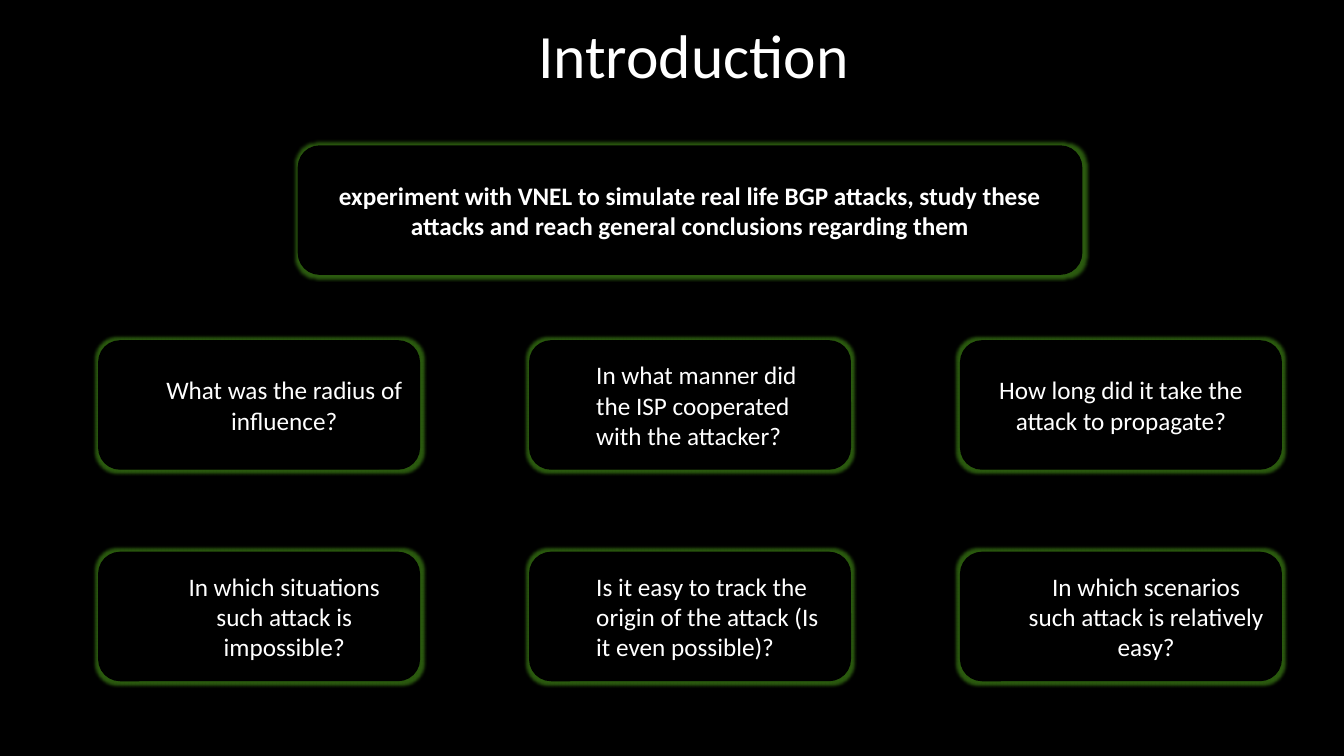
import pptx
import pptx.util
import pptx.dml.color
import pptx.enum.shapes
import pptx.enum.text
import pptx.oxml.ns
import lxml.etree

Cm = pptx.util.Cm
LEFT = pptx.enum.text.PP_ALIGN.LEFT
MID = pptx.enum.text.PP_ALIGN.CENTER
INDENT = 1.27

GOAL = ("experiment with VNEL to simulate real life BGP attacks, study these "
        "attacks and reach general conclusions regarding them")
ASKS = [
    [("What was the radius of influence?", MID, INDENT),
     ("In what manner did the ISP cooperated with the attacker?", LEFT, INDENT),
     ("How long did it take the attack to propagate?", MID, 0)],
    [("In which situations such attack is impossible?", MID, INDENT),
     ("Is it easy to track the origin of the attack (Is it even possible)?", LEFT, INDENT),
     ("In which scenarios such attack is relatively easy?", MID, INDENT)],
]


def color(code):
    return pptx.dml.color.RGBColor.from_string(code)


def write(shape, text, size, align, bold=False):
    frame = shape.text_frame
    frame.word_wrap = True
    frame.vertical_anchor = pptx.enum.text.MSO_ANCHOR.MIDDLE
    frame.text = text
    para = frame.paragraphs[0]
    para.alignment = align
    font = para.runs[0].font
    font.name = "Calibri"
    font.size = pptx.util.Pt(size)
    font.bold = bold
    font.color.rgb = color("FFFFFF")
    return para


def add_glow(shape, code):
    qn = pptx.oxml.ns.qn
    shape.shadow.inherit = False
    effects = shape.element.spPr.find(qn("a:effectLst"))
    glow = lxml.etree.SubElement(effects, qn("a:glow"), rad=str(pptx.util.Pt(5)))
    lxml.etree.SubElement(glow, qn("a:srgbClr"), val=code)


def add_card(slide, box, text, align=MID, indent=0, bold=False):
    card = slide.shapes.add_shape(
        pptx.enum.shapes.MSO_SHAPE.ROUNDED_RECTANGLE, *map(Cm, box))
    card.fill.solid()
    card.fill.fore_color.rgb = color("000000")
    card.line.color.rgb = color("000000")
    card.line.width = pptx.util.Pt(1)
    add_glow(card, "2B5A0F")
    para = write(card, text, 18, align, bold)
    if indent:
        para.level = 1
        props = para._p.get_or_add_pPr()
        props.set("marL", str(Cm(indent)))
        props.set("indent", "0")


def add_title(slide, box, text):
    title = slide.shapes.add_textbox(*map(Cm, box))
    write(title, text, 44, LEFT).line_spacing = 0.9


def add_grid(slide, box, rows):
    left, top, width, height = box
    wide, high = 8.08, 3.23
    across = (width - wide) / (len(rows[0]) - 1)
    down = (height - high) / (len(rows) - 1)
    for row, cards in enumerate(rows):
        for col, (text, align, indent) in enumerate(cards):
            place = (left + col * across, top + row * down, wide, high)
            add_card(slide, place, text, align, indent)


def main():
    deck = pptx.Presentation()
    deck.slide_width = Cm(33.87)
    deck.slide_height = Cm(19.05)
    slide = deck.slides.add_slide(deck.slide_layouts[6])
    slide.background.fill.solid()
    slide.background.fill.fore_color.rgb = color("000000")
    add_title(slide, (13.31, 0.43, 9.37, 2.08), "Introduction")
    add_card(slide, (7.52, 3.68, 19.74, 3.23), GOAL, bold=True)
    add_grid(slide, (2.49, 8.59, 29.8, 8.56), ASKS)
    deck.save("out.pptx")


if __name__ == "__main__":
    main()
